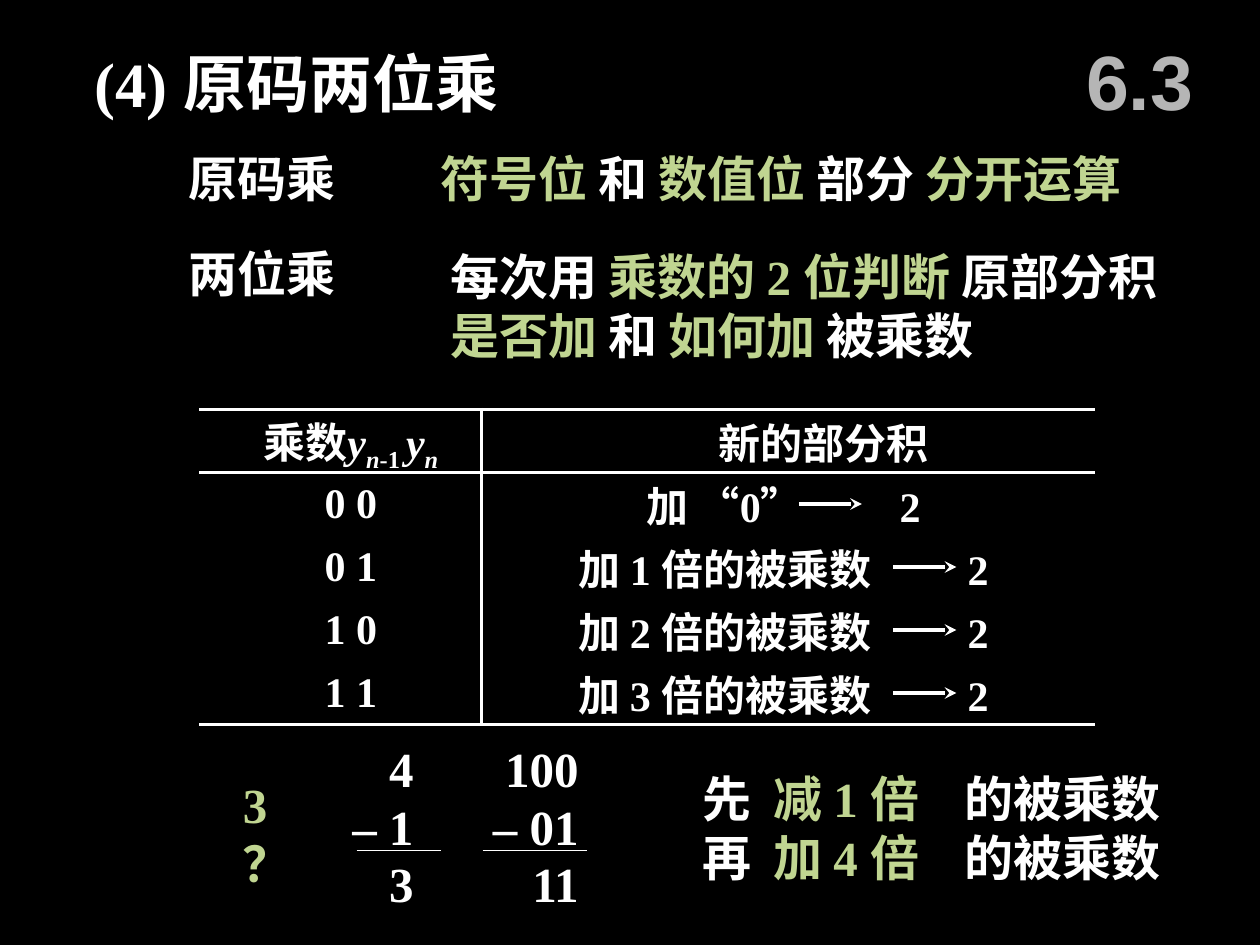
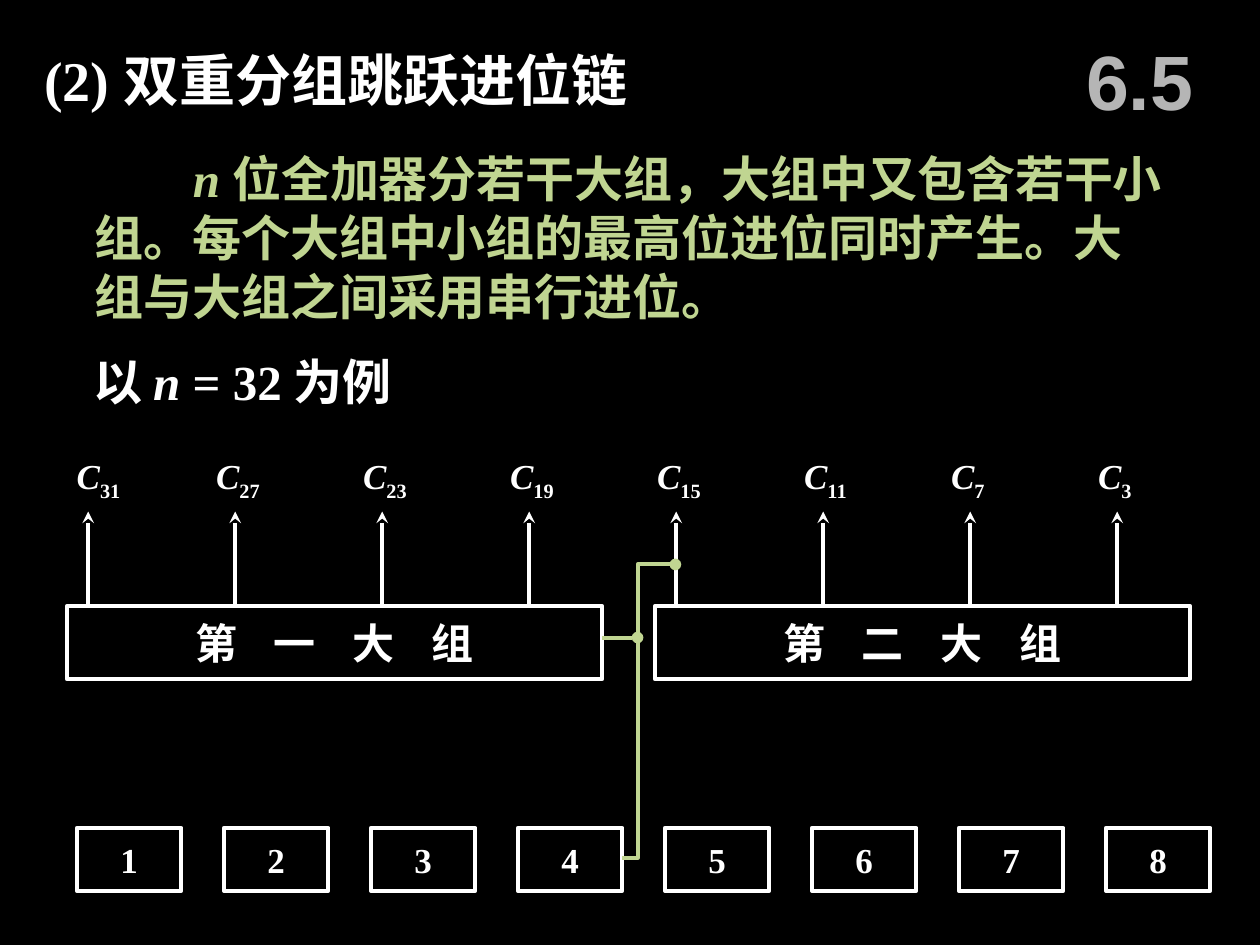
from dataclasses import dataclass

from lxml import etree
from pptx import Presentation
from pptx.dml.color import RGBColor
from pptx.enum.shapes import MSO_CONNECTOR, MSO_SHAPE
from pptx.enum.text import MSO_ANCHOR, MSO_AUTO_SIZE, PP_ALIGN
from pptx.oxml.ns import qn
from pptx.util import Inches, Pt

LEFT, CENTER, RIGHT = PP_ALIGN.LEFT, PP_ALIGN.CENTER, PP_ALIGN.RIGHT
MIDDLE = MSO_ANCHOR.MIDDLE
NO_AUTOFIT = MSO_AUTO_SIZE.NONE
STRAIGHT = MSO_CONNECTOR.STRAIGHT
RECTANGLE = MSO_SHAPE.RECTANGLE


@dataclass(frozen=True)
class Theme:
    background: RGBColor = RGBColor(0, 0, 0)
    text: RGBColor = RGBColor(0xFF, 0xFF, 0xFF)
    accent: RGBColor = RGBColor(0xC0, 0xD5, 0x91)
    section: RGBColor = RGBColor(0xB5, 0xB5, 0xB5)
    font: str = "Times New Roman"
    section_font: str = "Arial"
    section_size: int = 44
    body_size: int = 28
    table_size: int = 24
    label_size: int = 20
    rule: float = 2.25
    thin_rule: float = 0.75


THEME = Theme()


def write(frame, paragraphs, size, align=LEFT, tabs=(), indent=None):
    """Fill a text frame with paragraphs of (text, style) runs.

    Style letters: g accent colour, i italic, s subscript, w wide spacing.
    """
    for number, runs in enumerate(paragraphs):
        paragraph = frame.paragraphs[0] if number == 0 else frame.add_paragraph()
        paragraph.alignment = align
        properties = paragraph._p.get_or_add_pPr()
        if indent is not None:
            paragraph.space_before = Pt(0)
            properties.set("marL", "0")
            properties.set("indent", str(Inches(indent)))
            etree.SubElement(properties, qn("a:buNone"))
        if tabs:
            tab_list = etree.SubElement(properties, qn("a:tabLst"))
            for stop in tabs:
                etree.SubElement(tab_list, qn("a:tab"), pos=str(Inches(stop)), algn="l")
        paragraph.font.name = THEME.font
        paragraph.font.size = Pt(size)
        paragraph.font.bold = True
        for text, style in runs:
            run = paragraph.add_run()
            run.text = text
            run.font.color.rgb = THEME.accent if "g" in style else THEME.text
            if "i" in style:
                run.font.italic = True
            if "s" in style:
                run._r.get_or_add_rPr().set("baseline", "-25000")
            if "w" in style:
                run._r.get_or_add_rPr().set("spc", "785")


def style_line(shape, color=THEME.text, width=THEME.rule, end=None):
    shape.line.color.rgb = color
    shape.line.width = Pt(width)
    properties = shape._element.spPr
    if end:
        etree.SubElement(properties.find(qn("a:ln")), qn("a:tailEnd"), type=end)
    etree.SubElement(properties, qn("a:effectLst"))


prs = Presentation()
prs.slide_width, prs.slide_height = Inches(10), Inches(7.5)
master_fill = prs.slide_master.background.fill
master_fill.solid()
master_fill.fore_color.rgb = THEME.background

# Titles and section numbers
slides = []
for layout, section, title, size, place in (
    (5, "6.3", "(4) 原码两位乘", 36, (0.65, 0.3, 4.27, 0.7)),
    (1, "6.5", "(2) 双重分组跳跃进位链", 32, (0.25, 0.25, 7.92, 0.75)),
):
    slide = prs.slides.add_slide(prs.slide_layouts[layout])
    heading = slide.shapes.title
    heading.left, heading.top, heading.width, heading.height = map(Inches, place)
    heading.text_frame.auto_size = NO_AUTOFIT
    heading.text_frame.vertical_anchor = MIDDLE
    write(heading.text_frame, [[(title, "")]], size)

    section_box = slide.shapes.add_textbox(*map(Inches, (8.42, 0.17, 1.25, 0.92)))
    section_box.text_frame.word_wrap = True
    section_box.text_frame.vertical_anchor = MIDDLE
    number = section_box.text_frame.paragraphs[0]
    number.text = section
    number.alignment = CENTER
    number.font.name = THEME.section_font
    number.font.size = Pt(THEME.section_size)
    number.font.bold = True
    number.font.color.rgb = THEME.section
    slides.append(slide)
multiply, carry = slides

# Slide 1: definitions and the conclusion
for place, paragraphs, tabs in (
    ((1.4, 1.13, 2.02, 0.57), [[("原码乘", "")]], ()),
    ((3.4, 1.13, 5.93, 0.57),
     [[("符号位 ", "g"), ("和 ", ""), ("数值位 ", "g"), ("部分 ", ""), ("分开运算", "g")]], ()),
    ((1.4, 1.88, 1.85, 0.57), [[("两位乘", "")]], ()),
    ((3.48, 1.91, 6.27, 1.03),
     [[("每次用 ", ""), ("乘数的 2 位判断 ", "g"), ("原部分积", "")],
      [("是否加 ", "g"), ("和 ", ""), ("如何加 ", "g"), ("被乘数", "")]], ()),
    ((1.83, 6.1, 0.8, 1.03), [[("3 ？", "g")]], ()),
    ((5.48, 6.05, 4.52, 1.03),
     [[("先\t", ""), ("减 1 倍\t", "g"), ("的被乘数", "")],
      [("再\t", ""), ("加 4 倍\t", "g"), ("的被乘数", "")]], (0.56, 2.08)),
):
    frame = multiply.shapes.add_textbox(*map(Inches, place)).text_frame
    frame.word_wrap = True
    write(frame, paragraphs, THEME.body_size, tabs=tabs)

# Slide 1: table of partial products
TABLE_LEFT, TABLE_TOP, ROW_HEIGHT = 1.58, 3.25, 0.5
COLUMN_WIDTHS = 2.24, 4.87
# Each row: multiplier bits, new partial product, its left margin, tab stop, arrow start
rows = [("0 0", "加 “0”\t2", 1.31, 2.01, 6.34)]
rows += [(bits, f"加 {times} 倍的被乘数\t2", 0.77, 3.09, 7.09)
         for times, bits in enumerate(("0 1", "1 0", "1 1"), 1)]

products = multiply.shapes.add_table(
    len(rows) + 1, 2, Inches(TABLE_LEFT), Inches(TABLE_TOP),
    Inches(sum(COLUMN_WIDTHS)), Inches(ROW_HEIGHT * (len(rows) + 1))).table
products.first_row = products.horz_banding = False
for column, width in zip(products.columns, COLUMN_WIDTHS):
    column.width = Inches(width)

header = [("乘数", ""), ("y", "i"), ("n", "is"), ("-1 ", "s"), ("y", "i"), ("n", "is")]
cells = [[(header, 0.19, CENTER, ()), ([("新的部分积", "")], 0.58, CENTER, ())]]
for bits, product, margin, stop, arrow_start in rows:
    cells.append([([(bits, "")], 0.19, CENTER, ()),
                  ([(product, "")], margin, LEFT, (stop,))])

for r, row in enumerate(cells):
    products.rows[r].height = Inches(ROW_HEIGHT)
    for c, (runs, margin, align, tabs) in enumerate(row):
        cell = products.cell(r, c)
        cell.margin_left, cell.margin_right = Inches(margin), Inches(0.02)
        cell.margin_top = cell.margin_bottom = 0
        cell.vertical_anchor = MIDDLE
        ruled = {"L": c == 1, "R": c == 0, "T": r < 2, "B": r in (0, len(rows))}
        for side, visible in ruled.items():
            border = etree.SubElement(cell._tc.get_or_add_tcPr(), qn(f"a:ln{side}"),
                                      w=str(Pt(THEME.rule)))
            if visible:
                fill = etree.SubElement(border, qn("a:solidFill"))
                etree.SubElement(fill, qn("a:srgbClr"), val=str(THEME.text))
            else:
                etree.SubElement(border, qn("a:noFill"))
        cell.fill.background()
        write(cell.text_frame, [runs], THEME.table_size, align, tabs)

for r, (*_, arrow_start) in enumerate(rows, 1):
    y = Inches(TABLE_TOP + ROW_HEIGHT * (r + 0.5))
    arrow = multiply.shapes.add_connector(
        STRAIGHT, Inches(arrow_start), y, Inches(arrow_start + 0.5), y)
    style_line(arrow, end="stealth")

# Slide 1: subtractions in decimal and binary
for terms, left, width, rule_start, rule_end in (
    (("4", "– 1", "3"), 2.58, 0.8, 2.83, 3.5),
    (("100", "– 01", "11"), 3.69, 1.0, 3.83, 4.66),
):
    frame = multiply.shapes.add_textbox(*map(Inches, (left, 5.82, width, 1.49))).text_frame
    frame.word_wrap = True
    write(frame, [[(term, "")] for term in terms], THEME.body_size, RIGHT)
    for paragraph in frame.paragraphs:
        paragraph.line_spacing = Pt(33)
    rule = multiply.shapes.add_connector(
        STRAIGHT, Inches(rule_start), Inches(6.75), Inches(rule_end), Inches(6.75))
    style_line(rule, width=THEME.thin_rule)

# Slide 2: explanation and example
explanation = carry.placeholders[1]
explanation.left, explanation.top = Inches(0.75), Inches(0.92)
explanation.width, explanation.height = Inches(8.5), Inches(1.92)
example = carry.shapes.add_textbox(*map(Inches, (0.74, 2.83, 2.76, 0.39)))
for box, runs, indent in (
    (explanation,
     [("n ", "gi"),
      ("位全加器分若干大组，大组中又包含若干小组。每个大组中小组的最高位进位同时产生。"
       "大组与大组之间采用串行进位。", "g")], 0.78),
    (example, [("以 ", ""), ("n", "i"), (" = 32 为例", "")], 0),
):
    frame = box.text_frame
    frame.auto_size = NO_AUTOFIT
    frame.word_wrap = True
    frame.vertical_anchor = MIDDLE
    frame.margin_left = frame.margin_right = frame.margin_top = frame.margin_bottom = 0
    write(frame, [runs], THEME.body_size, indent=indent)

# Slide 2: two large groups over eight small groups
PITCH = 7 / 6
GROUP_TOP = 4.81
boxes = [((0.53 + 4 * PITCH * g, GROUP_TOP, 4.25, 0.58), name, "w", THEME.table_size)
         for g, name in enumerate(("第 一 大 组", "第 二 大 组"))]
boxes += [((0.61 + PITCH * i, 6.57, 0.83, 0.5), str(i + 1), "", THEME.label_size)
          for i in range(8)]
for place, name, style, size in boxes:
    group = carry.shapes.add_shape(RECTANGLE, *map(Inches, place))
    group.fill.background()
    style_line(group)
    group.text_frame.vertical_anchor = MIDDLE
    write(group.text_frame, [[(name, style)]], size, CENTER)

# Slide 2: carry outputs C31 to C3
for i in range(8):
    x = 0.7 + PITCH * i
    output = carry.shapes.add_connector(
        STRAIGHT, Inches(x), Inches(GROUP_TOP), Inches(x), Inches(4.06))
    style_line(output, end="stealth")
    label = carry.shapes.add_textbox(*map(Inches, (max(x - 0.25, 0.51), 3.56, 0.57, 0.43)))
    label.text_frame.word_wrap = False
    write(label.text_frame, [[("C", "i"), (str(31 - 4 * i), "s")]], THEME.label_size)

# Slide 2: carry from the second large group into the first
into_group = carry.shapes.add_connector(
    STRAIGHT, Inches(4.78), Inches(5.06), Inches(5.06), Inches(5.06))
style_line(into_group, THEME.accent, end="oval")
route = carry.shapes.build_freeform(Inches(4.94), Inches(6.81))
route.add_line_segments(
    [(Inches(x), Inches(y)) for x, y in ((5.06, 6.81), (5.06, 4.48), (5.36, 4.48))],
    close=False)
carry_path = route.convert_to_shape()
carry_path.fill.background()
style_line(carry_path, THEME.accent, end="oval")

prs.save("out.pptx")
